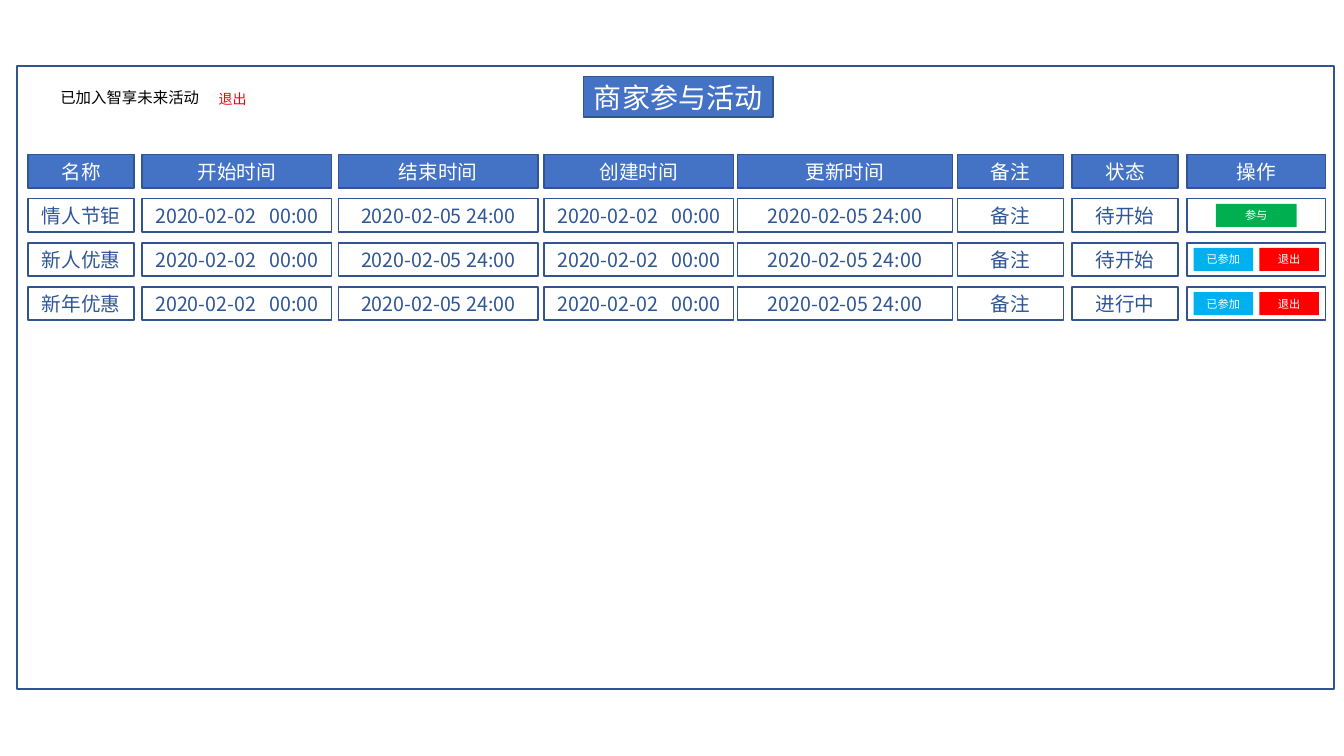
from dataclasses import dataclass

from lxml.etree import SubElement
from pptx import Presentation
from pptx.dml.color import RGBColor
from pptx.enum.shapes import MSO_SHAPE as SHAPE
from pptx.enum.text import MSO_ANCHOR as ANCHOR, MSO_AUTO_SIZE as FIT, PP_ALIGN as ALIGN
from pptx.oxml.ns import qn
from pptx.util import Cm, Pt

TITLE = "商家参与活动"
JOINED, LEAVE = "已加入智享未来活动", "退出"
START, END = "2020-02-02 00:00", "2020-02-05 24:00"

COLUMNS = [
    ("名称", 0.71, 2.67, 0),
    ("开始时间", 3.58, 4.78, 6.3),
    ("结束时间", 8.53, 5.03, 0),
    ("创建时间", 13.71, 4.78, 6.3),
    ("更新时间", 18.59, 5.41, 0),
    ("备注", 24.13, 2.67, 0),
    ("状态", 27.02, 2.67, 0),
    ("操作", 29.91, 3.5, 0),
]
ACTIVITIES = [
    ("情人节钜", "待开始", ["参与"]),
    ("新人优惠", "待开始", ["已参加", "退出"]),
    ("新年优惠", "进行中", ["已参加", "退出"]),
]
BUTTONS = {"参与": ("00B050", 2.03), "已参加": ("00B0F0", 1.5), "退出": ("FF0000", 1.5)}

FRAME = (0.44, 1.67, 33.17, 15.7)
TITLE_BOX = (14.7, 1.93, 4.78, 1.02)
TOP, PITCH, ROW_H = 3.9, 1.11, 0.84
BUTTON_H, BUTTON_GAP = 0.58, 0.16


@dataclass(frozen=True)
class Theme:
    font: str = "Noto Sans CJK SC"
    fill: str = "4472C4"
    line: str = "325491"
    cell: str = "2F5597"
    white: str = "FFFFFF"
    black: str = "000000"
    red: str = "FF0000"
    title: float = 20
    table: float = 14
    status: float = 11
    link: float = 10
    button: float = 8


T = Theme()


def rgb(value):
    return RGBColor.from_string(value)


def write(s, text, size, color, align=ALIGN.CENTER, fit=FIT.NONE, gap=0):
    tf = s.text_frame
    layout = {"word_wrap": False, "auto_size": fit, "vertical_anchor": ANCHOR.MIDDLE}
    for name, value in layout.items():
        setattr(tf, name, value)
    p = tf.paragraphs[0]
    p.alignment = align
    for part in text.partition(" ") if gap else [text]:
        r = p.add_run()
        r.text = part
        for name, value in {"name": T.font, "size": Pt(size), "bold": False}.items():
            setattr(r.font, name, value)
        r.font.color.rgb = rgb(color)
        props = r._r.get_or_add_rPr()
        SubElement(props, qn("a:ea")).set("typeface", T.font)
        if part == " ":
            props.set("spc", str(round(gap * 100)))


def paint(s, fill=None, line=None, weight=1):
    s.shadow.inherit = False
    for part, color in ((s.fill, fill), (s.line.fill, line)):
        if color:
            part.solid()
            part.fore_color.rgb = rgb(color)
        else:
            part.background()
    if line:
        s.line.width = Pt(weight)


def add_box(shapes, box, **look):
    s = shapes.add_shape(SHAPE.RECTANGLE, *map(Cm, box))
    paint(s, **look)
    return s


def add_label(shapes, box, text, size, color):
    s = shapes.add_textbox(*map(Cm, box))
    write(s, text, size, color, ALIGN.LEFT, FIT.SHAPE_TO_FIT_TEXT)


def add_buttons(shapes, names, left, top, width):
    total = sum(BUTTONS[n][1] for n in names) + BUTTON_GAP * (len(names) - 1)
    x = left + (width - total) / 2
    for name in names:
        color, w = BUTTONS[name]
        s = add_box(shapes, (x, top + (ROW_H - BUTTON_H) / 2, w, BUTTON_H), fill=color)
        write(s, name, T.button, T.white)
        x += w + BUTTON_GAP


def add_grid(shapes):
    for i, (head, left, width, gap) in enumerate(COLUMNS):
        s = add_box(shapes, (left, TOP, width, ROW_H), fill=T.fill, line=T.line)
        write(s, head, T.table, T.white)
        for row, (name, state, actions) in enumerate(ACTIVITIES, 1):
            top = TOP + row * PITCH
            s = add_box(shapes, (left, top, width, ROW_H), line=T.line)
            cells = [name, START, END, START, END, "备注", state]
            if i < len(cells):
                write(s, cells[i], T.table, T.cell, gap=gap)
            else:
                add_buttons(shapes, actions, left, top, width)


def main():
    """Build the merchant activity slide."""
    prs = Presentation()
    prs.slide_width, prs.slide_height = Cm(33.87), Cm(19.05)
    shapes = prs.slides.add_slide(prs.slide_layouts[5]).shapes
    title = shapes.title
    for name, value in zip(("left", "top", "width", "height"), TITLE_BOX):
        setattr(title, name, Cm(value))
    paint(title, fill=T.fill, line=T.line)
    write(title, TITLE, T.title, T.white)
    add_box(shapes, FRAME, line=T.line, weight=1.5)
    add_grid(shapes)
    add_label(shapes, (1.27, 2.08, 4.04, 0.74), JOINED, T.status, T.black)
    add_label(shapes, (5.26, 2.16, 1.22, 0.69), LEAVE, T.link, T.red)
    prs.save("out.pptx")


if __name__ == "__main__":
    main()
